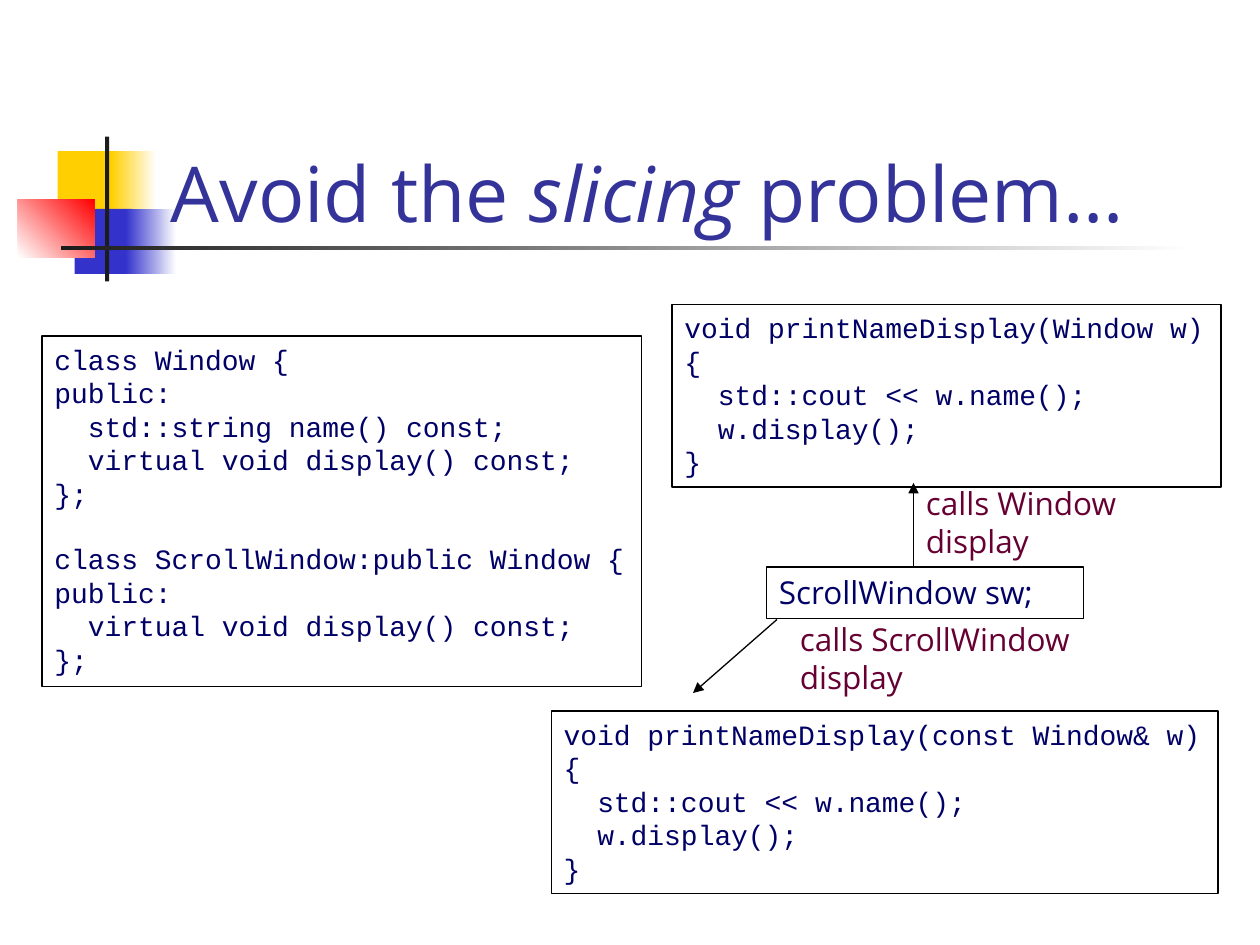
from lxml.etree import SubElement
from pptx import Presentation
from pptx.dml.color import RGBColor
from pptx.enum.shapes import MSO_CONNECTOR, MSO_SHAPE
from pptx.enum.text import MSO_ANCHOR
from pptx.oxml.ns import qn
from pptx.util import Inches, Pt

COLORS = {
    "white": "FFFFFF", "black": "000000", "charcoal": "1C1C1C",
    "yellow": "FFCF01", "blue": "3333CC", "red": "FF0000",
    "title": "333399", "code": "000066", "label": "660033",
}
SANS, MONO = "Open Sans", "Courier New"
CODE_SIZE = 16
CODE_LINE = Pt(18.1)    # height of one line of code
CODE_CHAR = Pt(9.6)     # width of one character of code


def color(name):
    return RGBColor.from_string(COLORS[name])


class SlideBuilder:
    """Draws on a grid of 120 columns by 90 rows."""

    def __init__(self, deck):
        self.slide = deck.slides.add_slide(deck.slide_layouts[6])
        self.column = deck.slide_width / 120
        self.row = deck.slide_height / 90

    def place(self, across, down):
        return round(across * self.column), round(down * self.row)

    def box(self, left, top, width, height):
        shape = self.slide.shapes.add_shape(
            MSO_SHAPE.RECTANGLE, *self.place(left, top), *self.place(width, height))
        shape.shadow.inherit = False
        return shape

    def block(self, area, start, end=None, angle=0):
        """Borderless block, solid or fading from start to end."""
        shape = self.box(*area)
        shape.line.fill.background()
        if end is None:
            shape.fill.solid()
            shape.fill.fore_color.rgb = color(start)
            return
        shape.fill.gradient()
        shape.fill.gradient_angle = angle
        for stop, name, position in zip(shape.fill.gradient_stops, (start, end), (0, 1)):
            stop.color.rgb = color(name)
            stop.position = position

    def fill_lines(self, frame, lines, font, size, ink):
        """One paragraph a line; leading spaces and empty lines become spacing."""
        frame.word_wrap = True
        frame.vertical_anchor = MSO_ANCHOR.TOP
        paragraph, gap = frame.paragraphs[0], 0
        for number, line in enumerate(lines):
            if not line:
                gap += CODE_LINE
                continue
            if number:
                paragraph = frame.add_paragraph()
            words = line.lstrip()
            paragraph.text = words
            self.style(paragraph, font, size, ink)
            indent = (len(line) - len(words)) * CODE_CHAR
            properties = paragraph._p.get_or_add_pPr()
            properties.set("marL", str(indent))
            properties.set("algn", "l")
            if gap:
                paragraph.space_before, gap = gap, 0

    def style(self, paragraph, font, size, ink):
        paragraph.font.name = font
        paragraph.font.size = Pt(size)
        paragraph.font.color.rgb = color(ink)

    def framed(self, area, text, font=MONO, size=CODE_SIZE):
        shape = self.box(*area)
        shape.fill.background()
        shape.line.color.rgb = color("black")
        shape.line.width = Pt(0.75)
        self.fill_lines(shape.text_frame, text.splitlines(), font, size, "code")

    def text_box(self, left, top, width, height):
        return self.slide.shapes.add_textbox(
            *self.place(left, top), *self.place(width, height)).text_frame

    def label(self, area, text):
        self.fill_lines(self.text_box(*area), text.splitlines(), SANS, 18, "label")

    def title(self, area, parts):
        frame = self.text_box(*area)
        frame.word_wrap = True
        frame.vertical_anchor = MSO_ANCHOR.BOTTOM
        heading = frame.paragraphs[0]
        self.style(heading, SANS, 44, "title")
        for words, italic in parts:
            run = heading.add_run()
            run.text = words
            run.font.italic = italic

    def arrow(self, start, end):
        connector = self.slide.shapes.add_connector(
            MSO_CONNECTOR.STRAIGHT, *self.place(*start), *self.place(*end))
        connector.line.color.rgb = color("black")
        connector.line.width = Pt(0.75)
        properties = connector._element.spPr
        SubElement(properties.find(qn("a:ln")), qn("a:tailEnd"), type="triangle")
        SubElement(properties, qn("a:effectLst"))


WINDOW_CLASSES = """class Window {
public:
  std::string name() const;
  virtual void display() const;
};

class ScrollWindow:public Window {
public:
  virtual void display() const;
};"""

PRINT_FUNCTION = """void printNameDisplay(PARAMETER)
{
  std::cout << w.name();
  w.display();
}"""


def main():
    deck = Presentation()
    deck.slide_width, deck.slide_height = Inches(10), Inches(7.5)
    page = SlideBuilder(deck)

    # Ornament beside the title
    page.block((5.5, 14.4, 5.8, 6.2), "yellow")
    page.block((10.6, 14.4, 4.3, 6.2), "yellow", "white")
    page.block((7.1, 19.9, 5.5, 6.2), "blue")
    page.block((12, 19.9, 4.8, 6.2), "blue", "white")
    page.block((1.7, 19, 7.3, 5.5), "white", "red", angle=45)
    page.block((10, 13, 0.4, 13.8), "charcoal")
    page.block((5.8, 23.4, 108, 0.4), "charcoal", "white")

    page.title((15.1, 8.2, 102.2, 15),
               [("Avoid the ", False), ("slicing", True), (" problem…", False)])

    # Classes, and the function by reference and by value
    page.framed((4, 32, 57.1, 33.4), WINDOW_CLASSES)
    page.framed((52.5, 67.7, 63.5, 17.4),
                PRINT_FUNCTION.replace("PARAMETER", "const Window& w"))
    page.framed((73, 54, 30.2, 4.9), "ScrollWindow sw;", SANS, 18)
    page.framed((64, 29, 52.3, 17.4), PRINT_FUNCTION.replace("PARAMETER", "Window w"))

    # Calls made with the scroll window
    page.arrow((87, 54), (87, 46))
    page.label((87, 45.5, 21.8, 8.4), "calls Window\ndisplay")
    page.arrow((74, 59), (66, 66))
    page.label((75, 58.5, 30.2, 8.4), "calls ScrollWindow\ndisplay")

    deck.save("out.pptx")


if __name__ == "__main__":
    main()
